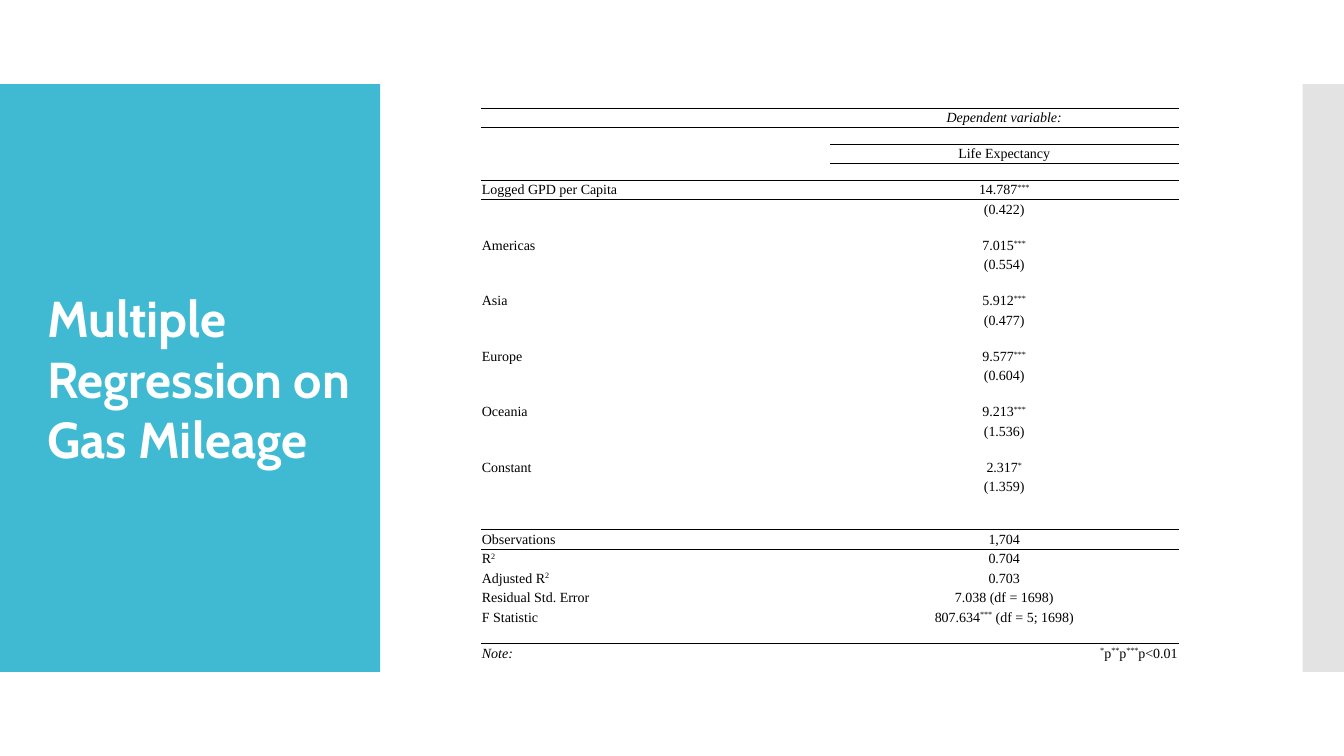
import pptx
import pptx.util
import pptx.dml.color
import pptx.enum.shapes
import pptx.enum.text
import pptx.oxml.ns
import lxml.etree

Inches, Pt = pptx.util.Inches, pptx.util.Pt
ALIGN = pptx.enum.text.PP_ALIGN
MIDDLE = pptx.enum.text.MSO_ANCHOR.MIDDLE
qn = pptx.oxml.ns.qn

WIDE, HIGH = 13.33, 7.5
HUES = {"teal": "40BAD2", "gray": "C8C8C8", "white": "FFFFFF", "black": "000000"}
PLAIN = "{2D5ABB26-0587-4C30-8999-92F81FD0307C}"

GAP = ("", "")
TERMS = [
    ("Logged GPD per Capita", "14.787^***", "(0.422)"),
    ("Americas", "7.015^***", "(0.554)"),
    ("Asia", "5.912^***", "(0.477)"),
    ("Europe", "9.577^***", "(0.604)"),
    ("Oceania", "9.213^***", "(1.536)"),
    ("Constant", "2.317^*", "(1.359)"),
]
HEAD = [GAP, ("", "Dependent variable:"), GAP, ("", "Life Expectancy"), GAP]
BODY = [row for name, coef, error in TERMS
        for row in ((name, coef), ("", error), GAP)]
STATS = [
    GAP,
    ("Observations", "1,704"),
    ("R^2", "0.704"),
    ("Adjusted R^2", "0.703"),
    ("Residual Std. Error", "7.038 (df = 1698)"),
    ("F Statistic", "807.634^***^ (df = 5; 1698)"),
    GAP,
]
NOTE = ("Note:", "^*^p^**^p^***^p<0.01")
ROWS = HEAD + BODY + STATS + [NOTE]
SLANTED = ("Dependent variable:", "Note:")
RULED = {1: (0, 1), 3: (1,), len(HEAD): (0, 1),
         len(HEAD + BODY) + 1: (0, 1), len(ROWS) - 1: (0, 1)}


def color(name):
    """Return the named colour."""
    return pptx.dml.color.RGBColor.from_string(HUES[name])


def write(frame, text, font="Times New Roman", size=10, hue="black",
          bold=False, italic=False, align=ALIGN.LEFT):
    """Write text in a frame; carets switch superscript on and off."""
    para = frame.paragraphs[0]
    para.alignment = align
    for turn, part in enumerate(text.split("^")):
        if not part:
            continue
        run = para.add_run()
        run.text = part
        run.font.name, run.font.size = font, Pt(size)
        run.font.bold, run.font.italic = bold, italic
        run.font.color.rgb = color(hue)
        if turn % 2:
            run.font._element.set("baseline", "30000")
    if not text:
        lxml.etree.SubElement(para._p, qn("a:endParaRPr"), sz="600")


def block(slide, box, hue, alpha=100):
    """Draw a flat rectangle."""
    shape = slide.shapes.add_shape(pptx.enum.shapes.MSO_SHAPE.RECTANGLE,
                                   *map(Inches, box))
    shape.shadow.inherit = False
    shape.fill.solid()
    shape.fill.fore_color.rgb = color(hue)
    shape.line.fill.background()
    if alpha < 100:
        tint = shape._element.spPr.find(".//" + qn("a:srgbClr"))
        lxml.etree.SubElement(tint, qn("a:alpha"), val=str(alpha * 1000))


def title(slide, box, text):
    """Place the heading in its box."""
    frame = slide.shapes.add_textbox(*map(Inches, box)).text_frame
    frame.word_wrap = True
    frame.vertical_anchor = MIDDLE
    write(frame, text, font="Cabin", size=36, hue="white", bold=True)


def border(cell, side):
    """Rule one side of a cell, lnT or lnB."""
    line = lxml.etree.Element(qn("a:" + side), w=str(Pt(1)))
    fill = lxml.etree.SubElement(line, qn("a:solidFill"))
    lxml.etree.SubElement(fill, qn("a:srgbClr"), val=HUES["black"])
    cell._tc.get_or_add_tcPr().insert(0, line)


def results(slide, box):
    """Build the regression table in its box."""
    table = slide.shapes.add_table(len(ROWS), 2, *map(Inches, box)).table
    table.first_row = table.horz_banding = False
    table._tbl.tblPr.find(qn("a:tableStyleId")).text = PLAIN
    for i, row in enumerate(ROWS):
        table.rows[i].height = Pt(11.85 if row == GAP else 13.9)
        for j, text in enumerate(row):
            cell = table.cell(i, j)
            cell.fill.background()
            cell.vertical_anchor = MIDDLE
            cell.margin_left = cell.margin_right = Inches(0.01)
            cell.margin_top = cell.margin_bottom = Inches(0.01)
            side = ALIGN.RIGHT if row == NOTE else ALIGN.CENTER
            write(cell.text_frame, text, italic=text in SLANTED,
                  align=side if j else ALIGN.LEFT)
            if j in RULED.get(i + 1, ()):
                border(cell, "lnB")
            if j in RULED.get(i, ()):
                border(cell, "lnT")
        if len(RULED.get(i + 1, ())) == 2:
            table.cell(i, 0).merge(table.cell(i, 1))


def main():
    """Build and save the slide."""
    deck = pptx.Presentation()
    deck.slide_width, deck.slide_height = Inches(WIDE), Inches(HIGH)
    slide = deck.slides.add_slide(deck.slide_layouts[6])
    top, tall = HIGH / 9, HIGH * 7 / 9
    block(slide, (0, top, 3.77, tall), "teal")
    block(slide, (WIDE - 0.41, top, 0.41, tall), "gray", alpha=50)
    title(slide, (0.37, 2.79, 3.4, 1.92), "Multiple Regression on Gas Mileage")
    results(slide, (4.77, 0.91, 6.92, 5.67))
    deck.save("out.pptx")


if __name__ == "__main__":
    main()
